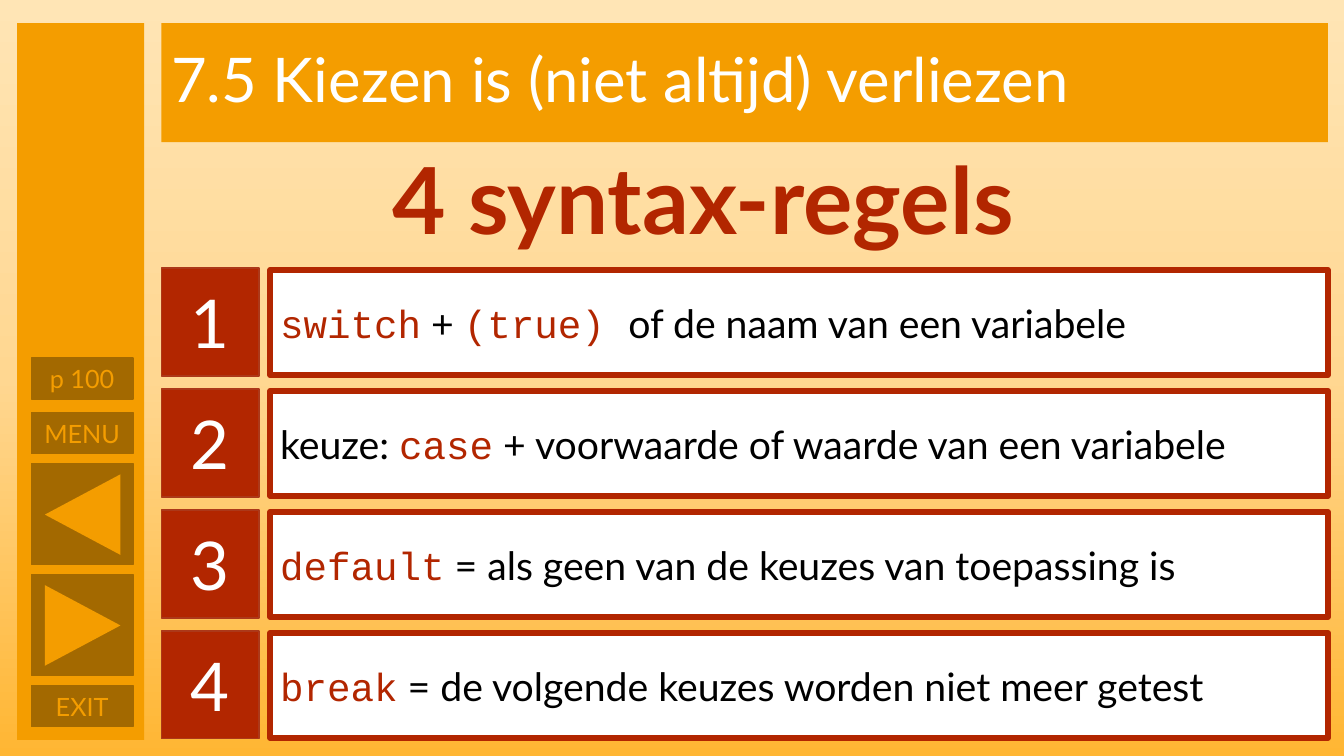
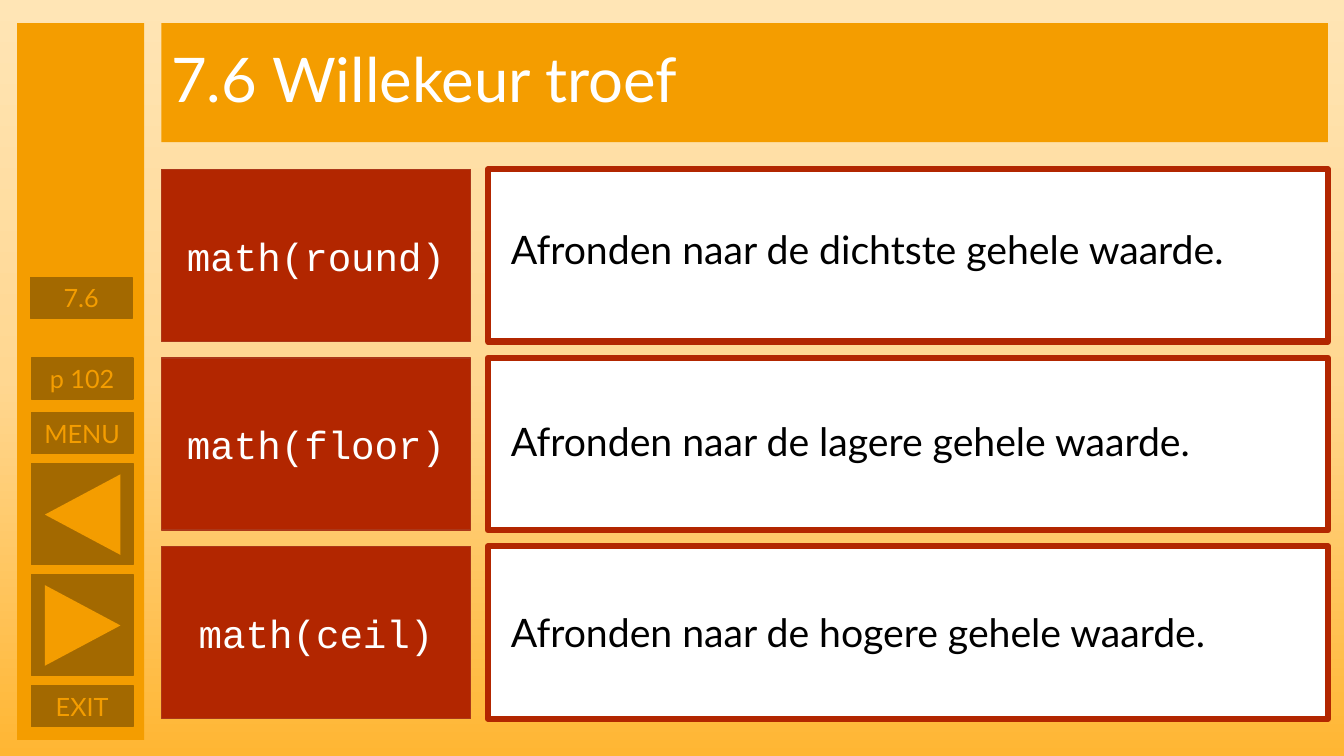
"""Build two Dutch course slides on choice syntax and rounding."""
from copy import deepcopy
from dataclasses import dataclass
from typing import NamedTuple

from pptx import Presentation
from pptx import util as u
from pptx.dml import color as col
from pptx.enum import shapes as sh
from pptx.enum import text as tx
from pptx.oxml import ns


@dataclass(frozen=True)
class Theme:
    orange: str = "F49D00"
    brown: str = "A36900"
    red: str = "B22600"
    edge: str = "AC3819"
    white: str = "FFFFFF"
    black: str = "000000"
    sky: tuple = ((0, "FFE5B5"), (0.5, "FFD791"), (1, "FFB633"))
    sans: str = "Lato"
    code: str = "Courier New"
    head: int = 44
    hero: int = 66
    digit: int = 48
    body: int = 28
    small: int = 18
    thin: float = 1
    thick: float = 4.5


T = Theme()


class Box(NamedTuple):
    left: float
    top: float
    width: float
    height: float

    def down(self, gap: float):
        return self._replace(top=self.top + gap)


class Style(NamedTuple):
    size: int
    color: str
    font: str = T.sans
    bold: bool = False
    center: bool = False


class Run(NamedTuple):
    text: str
    code: bool = False


class Key(NamedTuple):
    label: str
    top: float
    left: float = 0.31


class Rule(NamedTuple):
    runs: tuple


class Call(NamedTuple):
    name: str
    text: str


BODY = Style(T.body, T.black)
KEYS = (Key("EXIT", 6.8), Key("MENU", 4.09))
ARROWS = ((5.7, 90), (4.6, 270))
RULES = (
    Rule((Run("switch", True), Run(" + "), Run("(true) ", True),
          Run("of de naam van een variabele"))),
    Rule((Run("keuze: "), Run("case", True),
          Run(" + voorwaarde of waarde van een variabele"))),
    Rule((Run("default", True), Run(" = als geen van de keuzes van toepassing is"))),
    Rule((Run("break", True), Run(" = de volgende keuzes worden niet meer getest"))),
)
CALLS = (
    Call("math(round)", "Afronden naar de dichtste gehele waarde."),
    Call("math(floor)", "Afronden naar de lagere gehele waarde."),
    Call("math(ceil)", "Afronden naar de hogere gehele waarde."),
)


def rgb(code: str) -> col.RGBColor:
    return col.RGBColor.from_string(code)


def shape(slide, box: Box, fill: str, line: str = "", width: float = T.thin,
          kind=sh.MSO_SHAPE.RECTANGLE):
    item = slide.shapes.add_shape(kind, *map(u.Inches, box))
    item.shadow.inherit = False
    item.fill.solid()
    item.fill.fore_color.rgb = rgb(fill)
    if line:
        item.line.color.rgb = rgb(line)
        item.line.width = u.Pt(width)
    else:
        item.line.fill.background()
    return item


def write(item, style: Style, *runs: Run, anchor=tx.MSO_ANCHOR.MIDDLE):
    frame = item.text_frame
    frame.word_wrap = True
    frame.vertical_anchor = anchor
    para = frame.paragraphs[0]
    para.alignment = tx.PP_ALIGN.CENTER if style.center else tx.PP_ALIGN.LEFT
    para.font.size = u.Pt(style.size)
    para.font.bold = style.bold
    mixed = any(run.code for run in runs)
    if not mixed:
        para.font.name = style.font
        para.font.color.rgb = rgb(style.color)
    for run in runs:
        part = para.add_run()
        part.text = run.text
        if mixed:
            part.font.name = T.code if run.code else style.font
            part.font.color.rgb = rgb(T.red if run.code else style.color)
    return para


def label(slide, box: Box, style: Style, text: str) -> None:
    item = slide.shapes.add_textbox(*map(u.Inches, box))
    write(item, style, Run(text), anchor=tx.MSO_ANCHOR.TOP)
    item.text_frame.auto_size = tx.MSO_AUTO_SIZE.SHAPE_TO_FIT_TEXT


def paint(master) -> None:
    fill = master.background.fill
    fill.gradient()
    fill.gradient_angle = 270
    stop = next(master.element.cSld.iter(ns.qn("a:gs")))
    stop.addnext(deepcopy(stop))
    for item, (place, color) in zip(fill.gradient_stops, T.sky):
        item.position = place
        item.color.rgb = rgb(color)


def base(deck, title: str, *keys: Key):
    slide = deck.slides.add_slide(deck.slide_layouts[6])
    band = shape(slide, Box(1.6, 0.23, 11.57, 1.18), T.orange)
    write(band, Style(T.head, T.white), Run(title)).line_spacing = 0.9
    shape(slide, Box(0.17, 0.23, 1.26, 7.11), T.orange)
    for top, turn in ARROWS:
        shape(slide, Box(0.31, top, 1.01, 1), T.brown, T.brown)
        arrow = shape(slide, Box(0.42, top + 0.13, 0.8, 0.75), T.orange,
                      kind=sh.MSO_SHAPE.ISOSCELES_TRIANGLE)
        arrow.rotation = turn
    for key in KEYS + keys:
        item = shape(slide, Box(key.left, key.top, 1.01, 0.41), T.brown, T.brown)
        write(item, Style(T.small, T.orange, center=True), Run(key.label))
    return slide


def syntax(deck) -> None:
    slide = base(deck, "7.5 Kiezen is (niet altijd) verliezen", Key("p 100", 3.55))
    label(slide, Box(3.79, 1.36, 7.92, 1.21), Style(T.hero, T.red, bold=True),
          "4 syntax-regels")
    for row, rule in enumerate(RULES):
        gap = row * 1.2
        badge = shape(slide, Box(1.6, 2.66, 0.97, 1.07).down(gap), T.red, T.edge)
        write(badge, Style(T.digit, T.white, center=True), Run(str(row + 1)))
        panel = shape(slide, Box(2.68, 2.68, 10.49, 1.04).down(gap),
                      T.white, T.red, T.thick)
        write(panel, BODY, *rule.runs)


def rounding(deck) -> None:
    slide = base(deck, "7.6 Willekeur troef", Key("p 102", 3.55),
                 Key("7.6", 2.75, 0.3))
    for row, call in enumerate(CALLS):
        gap = row * 1.87
        name = shape(slide, Box(1.6, 1.68, 3.07, 1.71).down(gap), T.red, T.edge)
        write(name, Style(T.body, T.white, T.code, center=True), Run(call.name))
        shape(slide, Box(4.84, 1.68, 8.33, 1.71).down(gap), T.white, T.red, T.thick)
        label(slide, Box(4.97, 2.19, 8.2, 0.57).down(row * 1.9), BODY, call.text)


def main() -> None:
    deck = Presentation()
    deck.slide_width, deck.slide_height = u.Inches(13.33), u.Inches(7.5)
    paint(deck.slide_master)
    syntax(deck)
    rounding(deck)
    deck.save("out.pptx")


if __name__ == "__main__":
    main()
